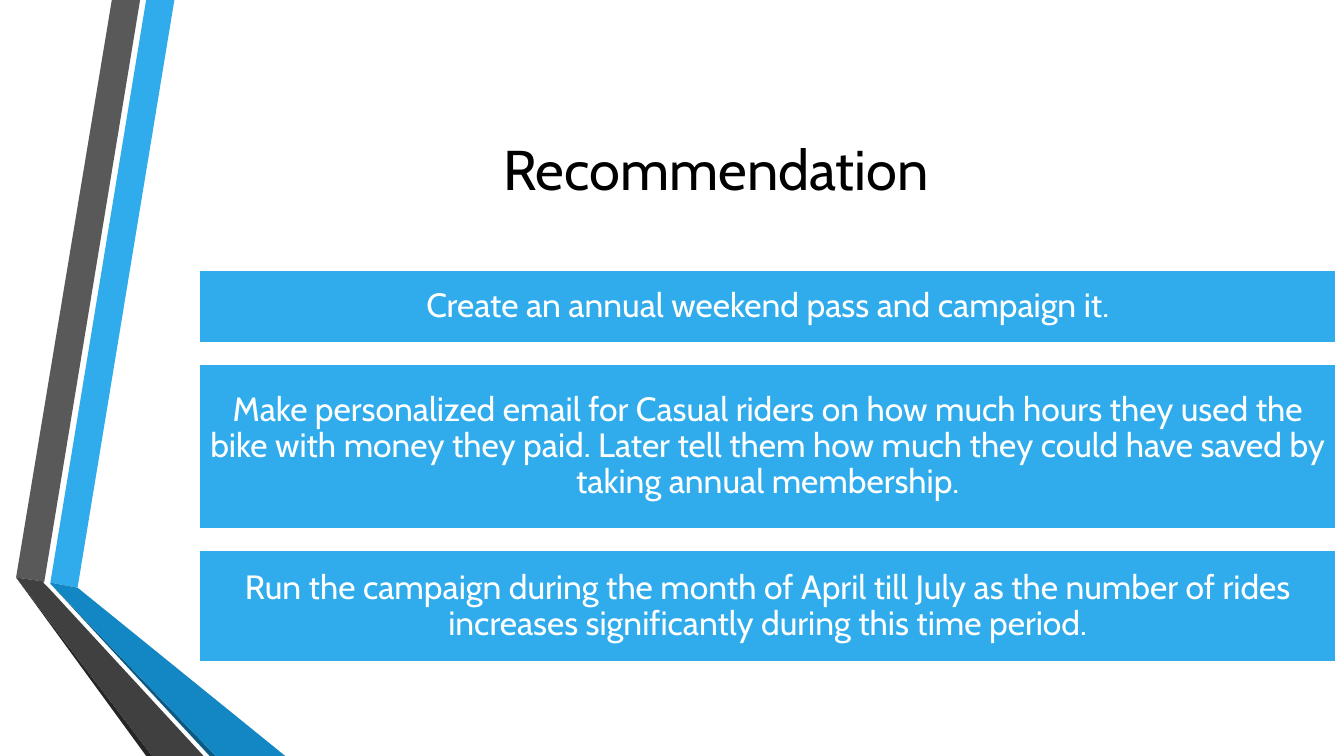
from pptx import Presentation
from pptx.dml.color import RGBColor
from pptx.enum.shapes import MSO_SHAPE
from pptx.enum.text import MSO_ANCHOR, PP_ALIGN
from pptx.util import Pt

RECTANGLE = MSO_SHAPE.RECTANGLE
MIDDLE = MSO_ANCHOR.MIDDLE
CENTER = PP_ALIGN.CENTER

PX = 9144  # EMU per px, 100 px to the inch
FONT = "Cabin"

BLACK = RGBColor(0x00, 0x00, 0x00)
WHITE = RGBColor(0xFF, 0xFF, 0xFF)
BLUE = RGBColor(0x30, 0xAC, 0xEC)
MID_BLUE = RGBColor(0x12, 0x87, 0xC3)
DARK_BLUE = RGBColor(0x0C, 0x5A, 0x82)
GRAY = RGBColor(0x59, 0x59, 0x59)
DARK_GRAY = RGBColor(0x40, 0x40, 0x40)
NEAR_BLACK = RGBColor(0x26, 0x26, 0x26)

# Folded ribbons on the left edge, from back to front
RIBBONS = [
    (BLUE, [(50, 578), (77, 583), (173, 0), (145, 0)]),
    (GRAY, [(139, 0), (111, 0), (16, 573), (44, 577)]),
    (NEAR_BLACK, [(16, 573), (145, 750), (151, 750)]),
    (DARK_BLUE, [(50, 579), (208, 750), (214, 750)]),
    (MID_BLUE, [(50, 579), (214, 750), (283, 750), (77, 583), (50, 578)]),
    (DARK_GRAY, [(202, 750), (48, 583), (43, 578), (44, 577), (16, 573), (151, 750)]),
]

# Recommendations: box height and text
RECOMMENDATIONS = [
    (72, "Create an annual weekend pass and campaign it."),
    (164, "Make personalized email for Casual riders on how much hours they used the "
          "bike with money they paid. Later tell them how much they could have saved by "
          "taking annual membership."),
    (111, "Run the campaign during the month of April till July as the number of rides "
          "increases significantly during this time period."),
]
BOX_LEFT, BOX_TOP, BOX_WIDTH, BOX_GAP = 198, 268, 1127, 21
BOX_INSET = 7


def px(*lengths):
    return [length * PX for length in lengths]


def add_ribbon(page, color, points):
    builder = page.shapes.build_freeform(*points[0], scale=PX)
    builder.add_line_segments(points[1:], close=True)
    ribbon = builder.convert_to_shape()
    ribbon.shadow.inherit = False
    ribbon.fill.solid()
    ribbon.fill.fore_color.rgb = color
    ribbon.line.fill.background()


def set_text(box, text, size, color):
    frame = box.text_frame
    frame.word_wrap = True
    frame.vertical_anchor = MIDDLE
    para = frame.paragraphs[0]
    para.text = text
    para.alignment = CENTER
    para.line_spacing = 0.9
    para.font.name = FONT
    para.font.size = Pt(size)
    para.font.color.rgb = color


def add_title(page, text):
    title = page.shapes.add_textbox(*px(162, 75, 1096, 192))
    set_text(title, text, 40, BLACK)


def add_recommendation(page, top, height, text):
    box = page.shapes.add_shape(RECTANGLE, *px(BOX_LEFT, top, BOX_WIDTH, height))
    box.shadow.inherit = False
    box.fill.solid()
    box.fill.fore_color.rgb = BLUE
    box.line.color.rgb = WHITE
    box.line.width = Pt(1.25)
    frame = box.text_frame
    frame.margin_left, frame.margin_top, frame.margin_right, frame.margin_bottom = px(*[BOX_INSET] * 4)
    set_text(box, text, 24, WHITE)


def main():
    deck = Presentation()
    deck.slide_width, deck.slide_height = px(1333, 750)
    page = deck.slides.add_slide(deck.slide_layouts[6])

    # Decoration
    for color, points in RIBBONS:
        add_ribbon(page, color, points)

    # Heading
    add_title(page, "Recommendation")

    # Stacked recommendations
    top = BOX_TOP
    for height, text in RECOMMENDATIONS:
        add_recommendation(page, top, height, text)
        top += height + BOX_GAP

    deck.save("out.pptx")


if __name__ == "__main__":
    main()
